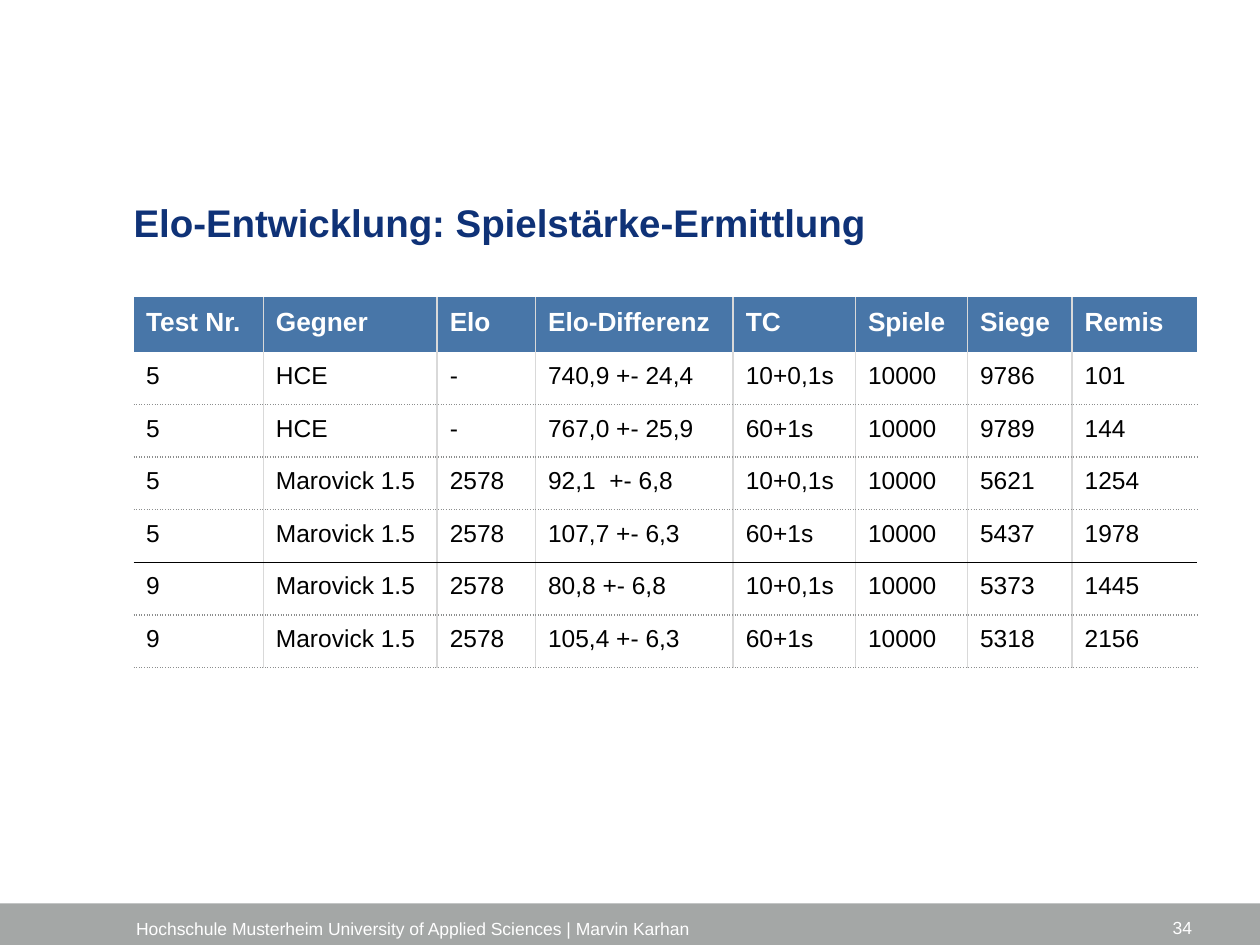
"""Build the slide with the table of Elo test results."""
from lxml.etree import SubElement
from pptx import Presentation
from pptx.dml.color import RGBColor
from pptx.enum.shapes import MSO_SHAPE
from pptx.enum.text import MSO_ANCHOR, PP_ALIGN
from pptx.oxml.ns import qn
from pptx.util import Inches, Pt

TITLE = "Elo-Entwicklung: Spielstärke-Ermittlung"
FOOTER = "Hochschule Musterheim University of Applied Sciences | Marvin Karhan"
PAGE = "34"
HEADER = ("Test Nr.", "Gegner", "Elo", "Elo-Differenz", "TC", "Spiele", "Siege", "Remis")
RESULTS = [
    ("5", "HCE", "-", "740,9 +- 24,4", "10+0,1s", "10000", "9786", "101"),
    ("5", "HCE", "-", "767,0 +- 25,9", "60+1s", "10000", "9789", "144"),
    ("5", "Marovick 1.5", "2578", "92,1  +- 6,8", "10+0,1s", "10000", "5621", "1254"),
    ("5", "Marovick 1.5", "2578", "107,7 +- 6,3", "60+1s", "10000", "5437", "1978"),
    ("9", "Marovick 1.5", "2578", "80,8 +- 6,8", "10+0,1s", "10000", "5373", "1445"),
    ("9", "Marovick 1.5", "2578", "105,4 +- 6,3", "60+1s", "10000", "5318", "2156"),
]
COL_WIDTHS = (1.03, 1.38, 0.78, 1.57, 0.97, 0.89, 0.83, 0.99)
HEADER_HEIGHT, ROW_HEIGHT = 0.42, 0.4
LEFT = 1.06
PLAIN_TABLE_STYLE = "{2D5ABB26-0587-4C30-8999-92F81FD0307C}"

FONT = "Arial"
NAVY = RGBColor(0x0F, 0x32, 0x77)
BLUE = RGBColor(0x48, 0x76, 0xA8)
GRAY = RGBColor(0xA4, 0xA7, 0xA6)
LIGHT = RGBColor(0xD9, 0xD9, 0xD9)
DOTTED = RGBColor(0x8C, 0x8E, 0x8E)
WHITE = RGBColor(0xFF, 0xFF, 0xFF)
BLACK = RGBColor(0, 0, 0)


def write(tf, text, size, color, bold=False, spacing=None, align=PP_ALIGN.LEFT):
    tf.text = text
    p = tf.paragraphs[0]
    p.alignment = align
    p.line_spacing = spacing
    font = p.runs[0].font
    font.name, font.size, font.bold = FONT, Pt(size), bold
    font.color.rgb = color


def set_margins(obj, left, top, right, bottom):
    obj.margin_left, obj.margin_top = Inches(left), Inches(top)
    obj.margin_right, obj.margin_bottom = Inches(right), Inches(bottom)


def add_border(cell, side, color, dash="solid"):
    ln = SubElement(cell._tc.get_or_add_tcPr(), qn(f"a:ln{side}"), w=str(Pt(1)))
    fill = SubElement(ln, qn("a:solidFill"))
    SubElement(fill, qn("a:srgbClr"), val=str(color))
    SubElement(ln, qn("a:prstDash"), val=dash)


def row_line(upper):
    """Return colour and dash of the line below a result row."""
    ends_test = upper + 1 < len(RESULTS) and RESULTS[upper][0] != RESULTS[upper + 1][0]
    return (BLACK, "solid") if ends_test else (DOTTED, "sysDot")


def add_results(s):
    rows = [HEADER, *RESULTS]
    height = HEADER_HEIGHT + ROW_HEIGHT * len(RESULTS)
    frame = s.shapes.add_table(len(rows), len(HEADER), Inches(LEFT), Inches(2.36),
                               Inches(sum(COL_WIDTHS)), Inches(height))
    table = frame.table
    table._tbl.tblPr.find(qn("a:tableStyleId")).text = PLAIN_TABLE_STYLE
    table.horz_banding = False
    for column, width in zip(table.columns, COL_WIDTHS):
        column.width = Inches(width)
    for r, texts in enumerate(rows):
        table.rows[r].height = Inches(ROW_HEIGHT if r else HEADER_HEIGHT)
        for c, text in enumerate(texts):
            cell = table.cell(r, c)
            if c > 0:
                add_border(cell, "L", LIGHT)
            if c < len(HEADER) - 1:
                add_border(cell, "R", LIGHT)
            if r > 1:
                add_border(cell, "T", *row_line(r - 2))
            if r > 0:
                add_border(cell, "B", *row_line(r - 1))
                cell.fill.background()
                write(cell.text_frame, text, 14, BLACK, spacing=1.1)
            else:
                cell.fill.solid()
                cell.fill.fore_color.rgb = BLUE
                write(cell.text_frame, text, 15, WHITE, True, 1.1)
            set_margins(cell, 0.1, 0.06, 0.1, 0.1)


def add_footer(s):
    bar = s.shapes.add_shape(MSO_SHAPE.RECTANGLE, 0, Inches(7.17), Inches(10), Inches(0.33))
    bar.shadow.inherit = False
    bar.fill.solid()
    bar.fill.fore_color.rgb = GRAY
    bar.line.fill.background()

    tf = s.shapes.add_textbox(Inches(1.08), Inches(7.25), Inches(5.65), Inches(0.2)).text_frame
    set_margins(tf, 0, 0, 0, 0)
    tf.vertical_anchor = MSO_ANCHOR.BOTTOM
    write(tf, FOOTER, 10, WHITE)

    tf = s.shapes.add_textbox(Inches(7.23), Inches(7.16), Inches(2.33), Inches(0.4)).text_frame
    tf.word_wrap = True
    tf.vertical_anchor = MSO_ANCHOR.MIDDLE
    write(tf, PAGE, 10, WHITE, align=PP_ALIGN.RIGHT)


def main():
    prs = Presentation()
    prs.slide_width, prs.slide_height = Inches(10), Inches(7.5)
    s = prs.slides.add_slide(prs.slide_layouts[5])
    title = s.shapes.title
    title.left, title.top = Inches(LEFT), Inches(1.54)
    title.width, title.height = Inches(8.43), Inches(0.87)
    tf = title.text_frame
    set_margins(tf, 0, 0, 0, 0)
    tf.vertical_anchor = MSO_ANCHOR.TOP
    write(tf, TITLE, 22, NAVY, True, 1.1)
    add_footer(s)
    add_results(s)
    prs.save("out.pptx")


if __name__ == "__main__":
    main()
